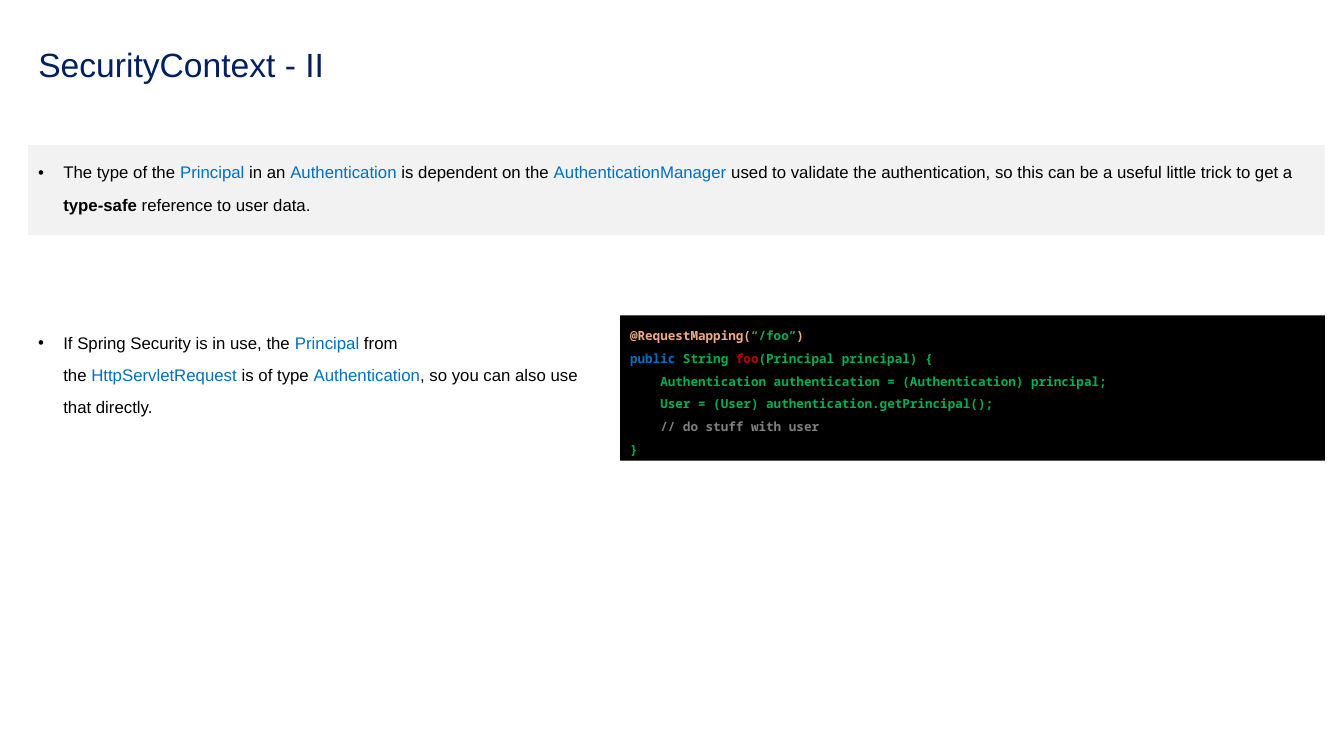
from lxml import etree
from pptx import Presentation
from pptx.dml.color import RGBColor
from pptx.enum.shapes import MSO_SHAPE as Shape
from pptx.enum.text import MSO_ANCHOR as Anchor, MSO_AUTO_SIZE as AutoSize, PP_ALIGN as Align
from pptx.oxml.ns import qn
from pptx.util import Inches, Pt

NAVY = RGBColor(0x00, 0x20, 0x60)
BLACK = RGBColor(0x00, 0x00, 0x00)
PALE = RGBColor(0xF2, 0xF2, 0xF2)
BLUE = RGBColor(0x00, 0x70, 0xC0)
PEACH = RGBColor(0xF2, 0xAA, 0x84)
GREEN = RGBColor(0x00, 0xB0, 0x50)
RED = RGBColor(0xC0, 0x00, 0x00)
GREY = RGBColor(0x80, 0x80, 0x80)

# Grid: shared left and right edges, two rows, code column
LEFT, RIGHT, CODE_LEFT = 0.28, 13.14, 6.15
FULL = RIGHT - LEFT
TOP_ROW, LOWER_ROW = 1.44, 3.13
CODE_INDENT = 0.3
HARD_SPACE = chr(160)  # written as ~ in the prose below


def write_runs(para, runs, font_name, size):
    for text, color, bold in runs:
        span = para.add_run()
        span.text = text
        look = {"name": font_name, "size": Pt(size), "bold": bold}
        for name, value in look.items():
            setattr(span.font, name, value)
        span.font.color.rgb = color


def indent(para, left, hanging=0):
    props = para._p.get_or_add_pPr()
    props.set("marL", str(Inches(left)))
    props.set("indent", str(-Inches(hanging)))
    return props


deck = Presentation()
deck.slide_width, deck.slide_height = Inches(13.33), Inches(7.5)
page = deck.slides.add_slide(deck.slide_layouts[5])

# Title
title = page.shapes.title
place = {"left": LEFT, "top": 0.4, "width": FULL, "height": 0.53}
for name, value in place.items():
    setattr(title, name, Inches(value))
title.text_frame.vertical_anchor = Anchor.MIDDLE
title.text_frame.auto_size = AutoSize.NONE
para = title.text_frame.paragraphs[0]
para.alignment, para.line_spacing = Align.LEFT, 0.9
write_runs(para, [("SecurityContext - II", NAVY, False)], "Arial", 24)

# Bulleted statements: class names in blue, key term in bold
banner = page.shapes.add_shape(
    Shape.RECTANGLE, Inches(LEFT), Inches(TOP_ROW), Inches(FULL), Inches(0.89))
note = page.shapes.add_textbox(
    Inches(LEFT), Inches(LOWER_ROW), Inches(5.56), Inches(1.11))
statements = [
    (banner, [
        ("The type of the~", BLACK, False),
        ("Principal", BLUE, False),
        ("~in an~", BLACK, False),
        ("Authentication", BLUE, False),
        ("~is dependent on the~", BLACK, False),
        ("AuthenticationManager", BLUE, False),
        ("~used to validate the authentication, so this can be a useful little trick to get a ",
         BLACK, False),
        ("type-safe", BLACK, True),
        (" reference to user data.", BLACK, False)]),
    (note, [
        ("If Spring Security is in use, the~", BLACK, False),
        ("Principal", BLUE, False),
        ("~from the~", BLACK, False),
        ("HttpServletRequest", BLUE, False),
        ("~is of type~", BLACK, False),
        ("Authentication", BLUE, False),
        (", so you can also use that directly.", BLACK, False)]),
]
for box, runs in statements:
    box.text_frame.word_wrap = True
    box.text_frame.vertical_anchor = Anchor.TOP
    para = box.text_frame.paragraphs[0]
    para.alignment, para.line_spacing, para.space_before = Align.LEFT, 1.6, Pt(10)
    props = indent(para, 0.25, hanging=0.25)
    etree.SubElement(props, qn("a:buFont"), typeface="Arial")
    etree.SubElement(props, qn("a:buChar"), char="•")
    spaced = [(text.replace("~", HARD_SPACE), color, bold) for text, color, bold in runs]
    write_runs(para, spaced, "Arial", 12)

# Code panel: indent level and coloured tokens of each line
panel = page.shapes.add_shape(
    Shape.RECTANGLE, Inches(CODE_LEFT), Inches(LOWER_ROW),
    Inches(RIGHT - CODE_LEFT), Inches(1.44))
code_lines = [
    (0, [("@RequestMapping(", PEACH), ("“/foo”", GREEN), (")", PEACH)]),
    (0, [("public", BLUE), (" String ", GREEN), ("foo", RED),
         ("(Principal principal) {", GREEN)]),
    (1, [("Authentication authentication = (Authentication) principal;", GREEN)]),
    (1, [("User = (User) authentication.getPrincipal();", GREEN)]),
    (1, [("// do stuff with user", GREY)]),
    (0, [("}", GREEN)]),
]
frame = panel.text_frame
frame.word_wrap = True
frame.vertical_anchor = Anchor.TOP
frame.auto_size = AutoSize.SHAPE_TO_FIT_TEXT
for number, (level, tokens) in enumerate(code_lines):
    para = frame.add_paragraph() if number else frame.paragraphs[0]
    para.alignment, para.line_spacing = Align.LEFT, 1.5
    indent(para, level * CODE_INDENT)
    write_runs(para, [(text, color, True) for text, color in tokens], "Noto Sans Mono", 9)

# Panel fills
for box, color in ((banner, PALE), (panel, BLACK)):
    box.shadow.inherit = False
    box.fill.solid()
    box.fill.fore_color.rgb = color
    box.line.fill.background()

deck.save("out.pptx")
